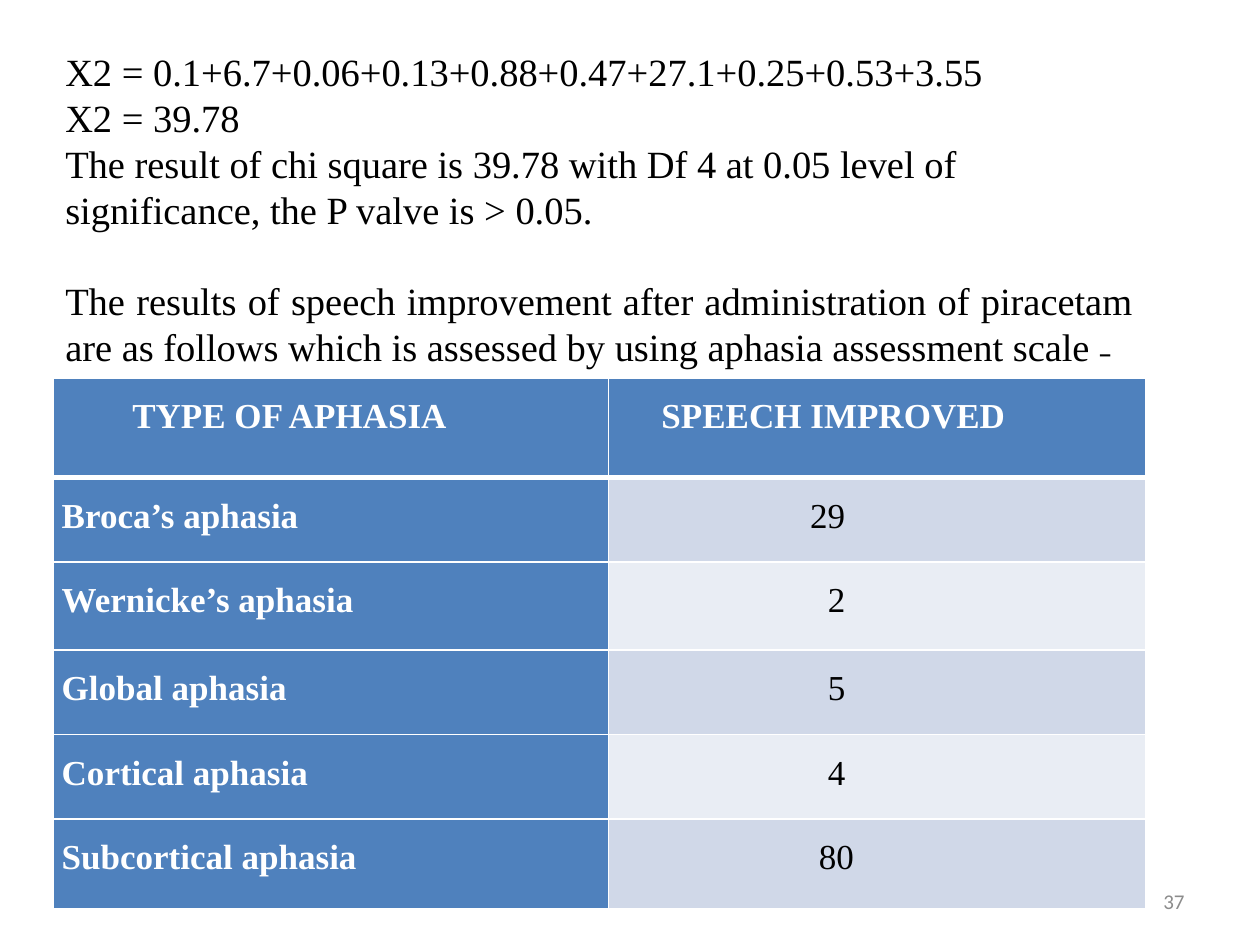
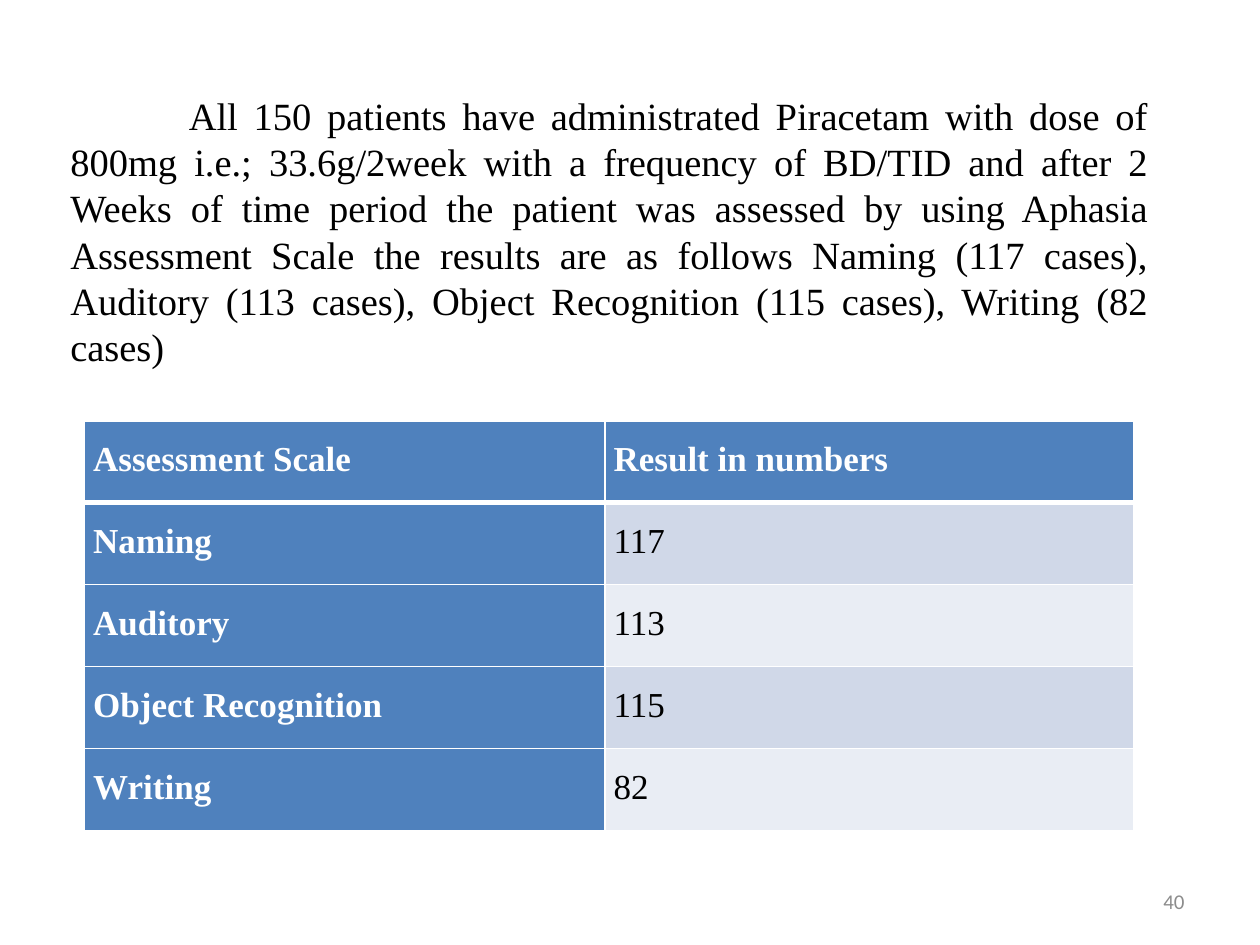
import pptx
import pptx.util
import pptx.dml.color
import pptx.enum.text
import pptx.oxml
import pptx.oxml.ns
from pptx.util import Inches

RGBColor = pptx.dml.color.RGBColor
ALIGN = pptx.enum.text.PP_ALIGN
ANCHOR = pptx.enum.text.MSO_ANCHOR

BLACK = RGBColor(0x00, 0x00, 0x00)
WHITE = RGBColor(0xFF, 0xFF, 0xFF)
GREY = RGBColor(0x8C, 0x8C, 0x8C)
BLUE = RGBColor(0x4F, 0x81, 0xBD)
BANDS = (RGBColor(0xD0, 0xD8, 0xE8), RGBColor(0xE9, 0xED, 0xF4))


class Deck:
    FONT = "Times New Roman"
    BODY_SIZE = 22
    TABLE_SIZE = 20
    CELL_MARGIN = 0.07

    def __init__(self):
        self.prs = pptx.Presentation()
        self.prs.slide_width = Inches(10)
        self.prs.slide_height = Inches(7.5)
        self.slide = None

    def add_slide(self, number):
        self.slide = self.prs.slides.add_slide(self.prs.slide_layouts[6])
        footer = self.text_frame(7.17, 6.95, 2.33, 0.4)
        self.paragraph(footer.paragraphs[0], [str(number)], ALIGN.RIGHT,
                       font="Calibri", size=12, color=GREY)

    def text_frame(self, left, top, width, height):
        box = self.slide.shapes.add_textbox(
            Inches(left), Inches(top), Inches(width), Inches(height))
        frame = box.text_frame
        frame.word_wrap = True
        frame.vertical_anchor = ANCHOR.MIDDLE
        return frame

    def run(self, paragraph, text, font=FONT, size=BODY_SIZE, color=BLACK,
            bold=False):
        run = paragraph.add_run()
        run.text = text
        run.font.name = font
        run.font.size = pptx.util.Pt(size)
        run.font.color.rgb = color
        run.font.bold = bold

    def paragraph(self, paragraph, texts, align=ALIGN.LEFT, **style):
        paragraph.alignment = align
        for text in texts:
            self.run(paragraph, text, **style)

    def border(self, cell, side, points):
        """Add a white border; sides must be added in the order L, R, T, B."""
        line = pptx.oxml.parse_xml(
            f'<a:ln{side} {pptx.oxml.ns.nsdecls("a")} w="{pptx.util.Pt(points)}">'
            f'<a:solidFill><a:srgbClr val="{WHITE}"/></a:solidFill></a:ln{side}>')
        cell._tc.get_or_add_tcPr().append(line)

    def cell(self, cell, text, row, col, indent):
        is_heading = row == 0 or col == 0
        for side in "LRTB":
            thick = (row, side) in ((0, "B"), (1, "T"))
            self.border(cell, side, 3 if thick else 1)
        cell.fill.solid()
        cell.fill.fore_color.rgb = BLUE if is_heading else BANDS[(row - 1) % 2]
        cell.margin_left = Inches(self.CELL_MARGIN + indent)
        cell.margin_right = Inches(self.CELL_MARGIN)
        cell.margin_top = cell.margin_bottom = 0
        paragraph = cell.text_frame.paragraphs[0]
        paragraph.line_spacing = 1.5
        self.paragraph(paragraph, [text], size=self.TABLE_SIZE,
                       color=WHITE if is_heading else BLACK, bold=is_heading)

    def table(self, left, top, widths, heights, rows, indents=None):
        """Draw rows of text; indents maps (row, column) to inches."""
        indents = indents or {}
        table = self.slide.shapes.add_table(
            len(rows), len(widths), Inches(left), Inches(top),
            Inches(sum(widths)), Inches(sum(heights))).table
        for column, width in zip(table.columns, widths):
            column.width = Inches(width)
        for r, (height, texts) in enumerate(zip(heights, rows)):
            table.rows[r].height = Inches(height)
            for c, text in enumerate(texts):
                self.cell(table.cell(r, c), text, r, c, indents.get((r, c), 0))


def speech_improvement(deck):
    deck.add_slide(37)
    deck.table(
        0.42, 3, (4.41, 4.26), (0.79, 0.67, 0.7, 0.67, 0.67, 0.71),
        [("TYPE OF APHASIA", "SPEECH IMPROVED"),
         ("Broca’s aphasia", "29"),
         ("Wernicke’s aphasia", "2"),
         ("Global aphasia", "5"),
         ("Cortical aphasia", "4"),
         ("Subcortical aphasia", "80")],
        {(0, 0): 0.56, (0, 1): 0.35, (1, 1): 1.53, (2, 1): 1.67,
         (3, 1): 1.67, (4, 1): 1.67, (5, 1): 1.6})

    findings = deck.text_frame(0.42, 0.32, 8.67, 2.67)
    chi_square = (
        "X2 = 0.1+6.7+0.06+0.13+0.88+0.47+27.1+0.25+0.53+3.55",
        "X2 = 39.78",
        "The result of chi square is 39.78 with Df 4 at 0.05 level of "
        "significance, the P valve is > 0.05.")
    deck.paragraph(findings.paragraphs[0], [chi_square[0]])
    for statement in chi_square[1:]:
        deck.paragraph(findings.add_paragraph(), [statement])
    introduction = findings.add_paragraph()
    introduction.space_before = pptx.util.Pt(25.3)
    deck.paragraph(introduction, [
        "The results of speech improvement after administration of piracetam "
        "are as follows which is assessed by using aphasia assessment scale "],
        ALIGN.JUSTIFY)
    deck.run(introduction, "–", font="Arial", size=12, bold=True)


def assessment_results(deck):
    deck.add_slide(40)
    deck.table(
        0.67, 3.34, (4.13, 4.2), [0.65] * 5,
        [("Assessment Scale", "Result in numbers"),
         ("Naming", "117"),
         ("Auditory", "113"),
         ("Object Recognition", "115"),
         ("Writing", "82")])

    summary = deck.text_frame(0.46, 0.67, 8.75, 2.32).paragraphs[0]
    deck.paragraph(summary, [
        "All 150 patients have administrated Piracetam with dose of 800mg "
        "i.e.; 33.6g/2week with a frequency of BD/TID and after 2 Weeks of "
        "time period the patient was assessed by using Aphasia Assessment "
        "Scale the results are as follows Naming (117 cases), Auditory (113 "
        "cases), Object Recognition (115 cases), Writing (82 cases)"],
        ALIGN.JUSTIFY)
    summary._p.get_or_add_pPr().set("indent", str(Inches(0.94)))


def main():
    deck = Deck()
    speech_improvement(deck)
    assessment_results(deck)
    deck.prs.save("out.pptx")


if __name__ == "__main__":
    main()
